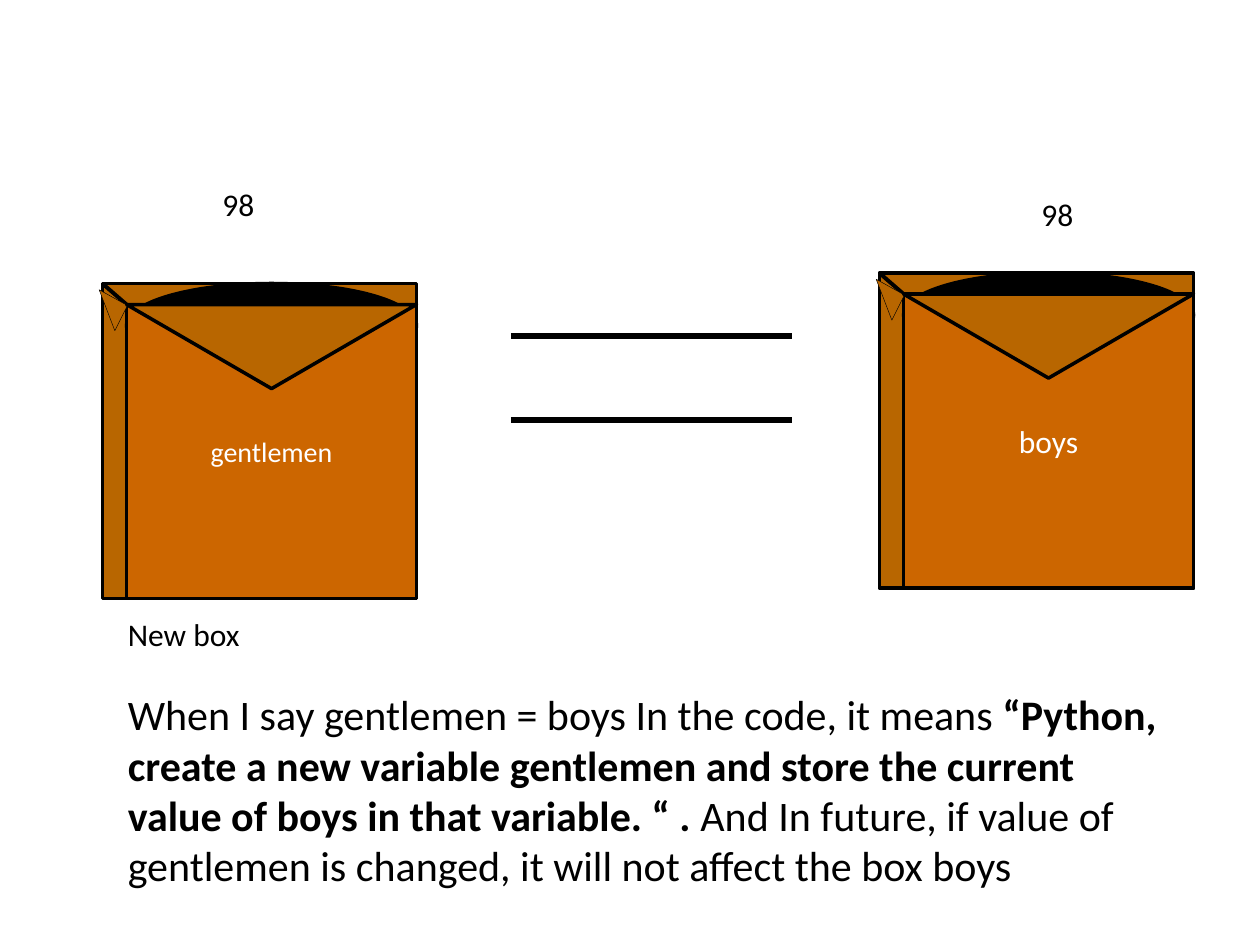
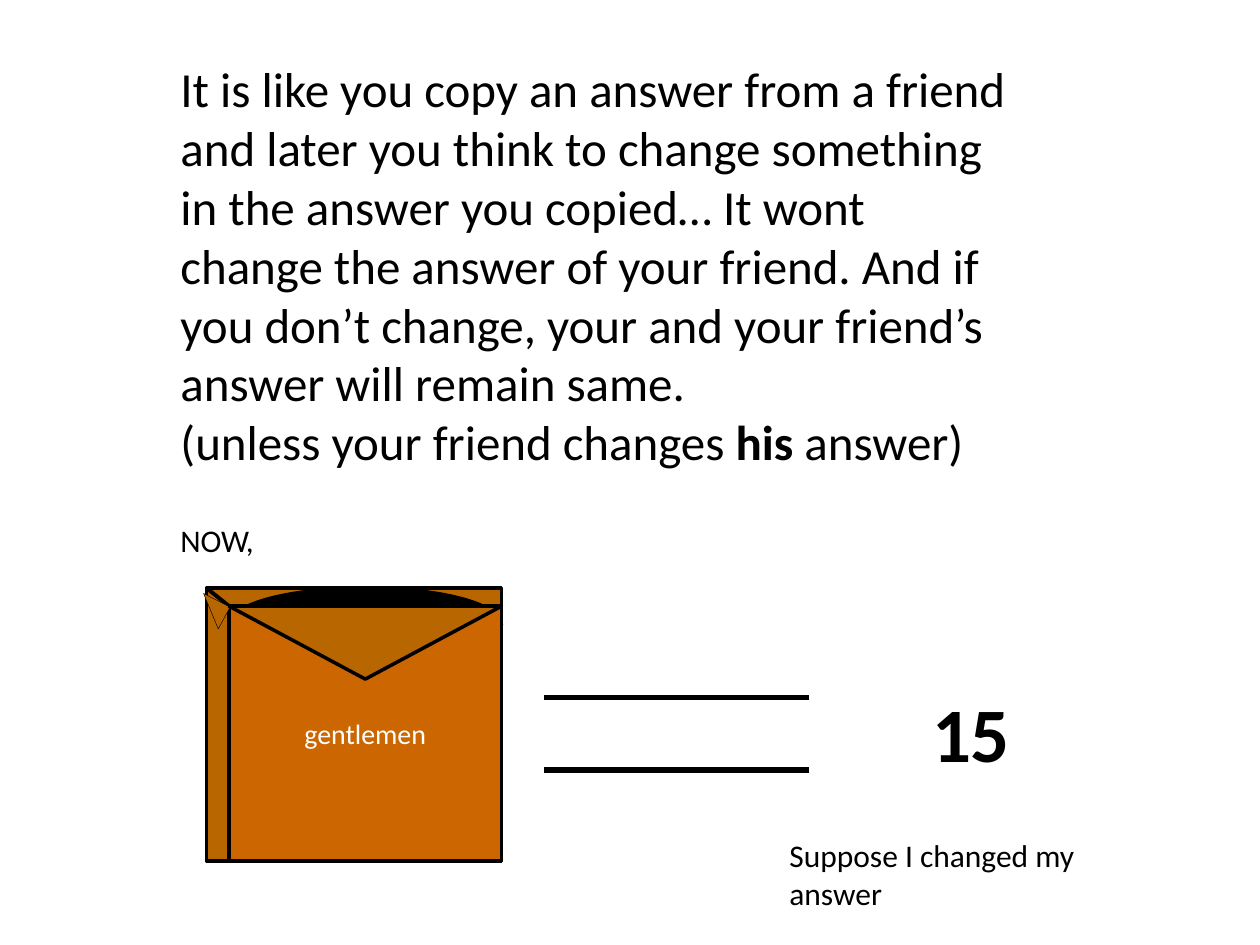
from lxml import etree
from pptx import Presentation
from pptx import util as u
from pptx.dml.color import RGBColor
from pptx.enum import shapes, text
from pptx.oxml.ns import qn

FONT = "Calibri"
BLACK = "000000"
WHITE = "FFFFFF"
FRONT = "CC6600"
SIDE = "B86600"


def color(value):
    return RGBColor.from_string(value)


def outline(shape, fill, weight=2):
    shape.shadow.inherit = False
    shape.fill.solid()
    shape.fill.fore_color.rgb = color(fill)
    shape.line.color.rgb = color(BLACK)
    shape.line.width = u.Pt(weight)


def add_preset(group, kind, left, top, width, height, fill, rotation=0):
    shape = group.shapes.add_shape(
        kind, u.Pt(left), u.Pt(top), u.Pt(width), u.Pt(height))
    shape.rotation = rotation
    outline(shape, fill)
    return shape


def add_line(group, start, end, weight):
    line = group.shapes.add_connector(
        shapes.MSO_CONNECTOR.STRAIGHT, *(u.Pt(value) for value in start + end))
    line.line.color.rgb = color(BLACK)
    line.line.width = u.Pt(weight)
    properties = line._element.find(qn("p:spPr"))
    etree.SubElement(properties, qn("a:effectLst"))


def write_paragraph(para, spans, size, ink=BLACK):
    para.font.name = FONT
    para.font.size = u.Pt(size)
    para.font.color.rgb = color(ink)
    for words, bold in spans:
        span = para.add_run()
        span.text = words
        if bold:
            span.font.bold = True


def add_text(group, left, top, width, height, paragraphs, size):
    box = group.shapes.add_textbox(
        u.Pt(left), u.Pt(top), u.Pt(width), u.Pt(height))
    frame = box.text_frame
    frame.word_wrap = True
    for number, spans in enumerate(paragraphs):
        para = frame.add_paragraph() if number else frame.paragraphs[0]
        write_paragraph(para, spans, size)


def add_note(page, left, top, width, height, words):
    add_text(page, left, top, width, height, [[(words, False)]], 18)


def add_fold(group, left, top, width, height):
    corners = [(u.Pt(left + x * width), u.Pt(top + y * height))
               for x, y in ((-0.01, 0.02), (0.08, 0.07), (0.04, 0.15))]
    builder = group.shapes.build_freeform(*corners[0], scale=1.0)
    builder.add_line_segments(corners[1:], close=True)
    outline(builder.convert_to_shape(), SIDE, 0.25)


def add_variable_box(group, left, top, width, height, name, size):
    kinds = shapes.MSO_SHAPE
    front_left = left + width * 0.077
    front_top = top + height / 15
    front_width = left + width - front_left
    front_height = top + height - front_top
    flap = height * 0.267

    add_preset(group, kinds.RECTANGLE, left, top, width, height, SIDE)
    add_preset(group, kinds.OVAL, front_left, top, front_width, flap, BLACK)
    front = add_preset(group, kinds.RECTANGLE, front_left, front_top,
                       front_width, front_height, FRONT)
    frame = front.text_frame
    frame.word_wrap = True
    frame.vertical_anchor = text.MSO_ANCHOR.MIDDLE
    para = frame.paragraphs[0]
    para.alignment = text.PP_ALIGN.CENTER
    write_paragraph(para, [(name, False)], size, WHITE)
    add_line(group, (left, top), (front_left, front_top), 2.25)
    add_fold(group, left, top, width, height)
    add_preset(group, kinds.ISOSCELES_TRIANGLE, front_left, front_top,
               front_width, flap, SIDE, 180)


def add_equals(group, left, right, levels):
    for level in levels:
        add_line(group, (left, level), (right, level), 3)


def add_page(deck):
    return deck.slides.add_slide(deck.slide_layouts[6])


def build_copy_page(deck):
    page = add_page(deck)
    for left, top, name, size in ((502.5, 156, "boys", 18),
                                  (58.5, 162, "gentlemen", 16)):
        group = page.shapes.add_group_shape()
        add_variable_box(group, left, top, 179.5, 180, name, size)
    add_equals(page.shapes.add_group_shape(), 292, 452.5, (192, 240))
    add_note(page, 588, 108, 48, 29, "98")
    add_note(page, 120, 102, 48, 29, "98")
    add_note(page, 66, 348, 150, 29, "New box")
    add_text(page, 66, 390, 606, 124, [[
        ("When I say gentlemen = boys In the code, it means ", False),
        ("“Python, create a new variable gentlemen and store the current "
         "value of boys in that variable. “ . ", True),
        ("And In future, if value of gentlemen is changed, it will not "
         "affect the box boys", False),
    ]], 24)


def build_change_page(deck):
    page = add_page(deck)
    add_text(page, 96, 30, 492, 245, [
        [("It is like you copy an answer from a friend and later you think "
          "to change something in the answer you copied… It wont change the "
          "answer of your friend. And if you don’t change, your and your "
          "friend’s answer will remain same.", False)],
        [("(unless your friend changes ", False), ("his", True),
         (" answer)", False)],
    ], 28)
    group = page.shapes.add_group_shape()
    add_variable_box(group, 118, 336, 168.5, 156, "gentlemen", 16)
    add_equals(group, 311, 462.5, (398.5, 440))
    add_text(group, 525.5, 388, 74, 60.5, [[("15", True)]], 44)
    add_note(page, 96, 294, 300, 29, "NOW,")
    add_note(page, 444, 474, 216, 51, "Suppose I changed my answer")


def main():
    deck = Presentation()
    deck.slide_width = u.Pt(720)
    deck.slide_height = u.Pt(540)
    build_copy_page(deck)
    build_change_page(deck)
    deck.save("out.pptx")


if __name__ == "__main__":
    main()
